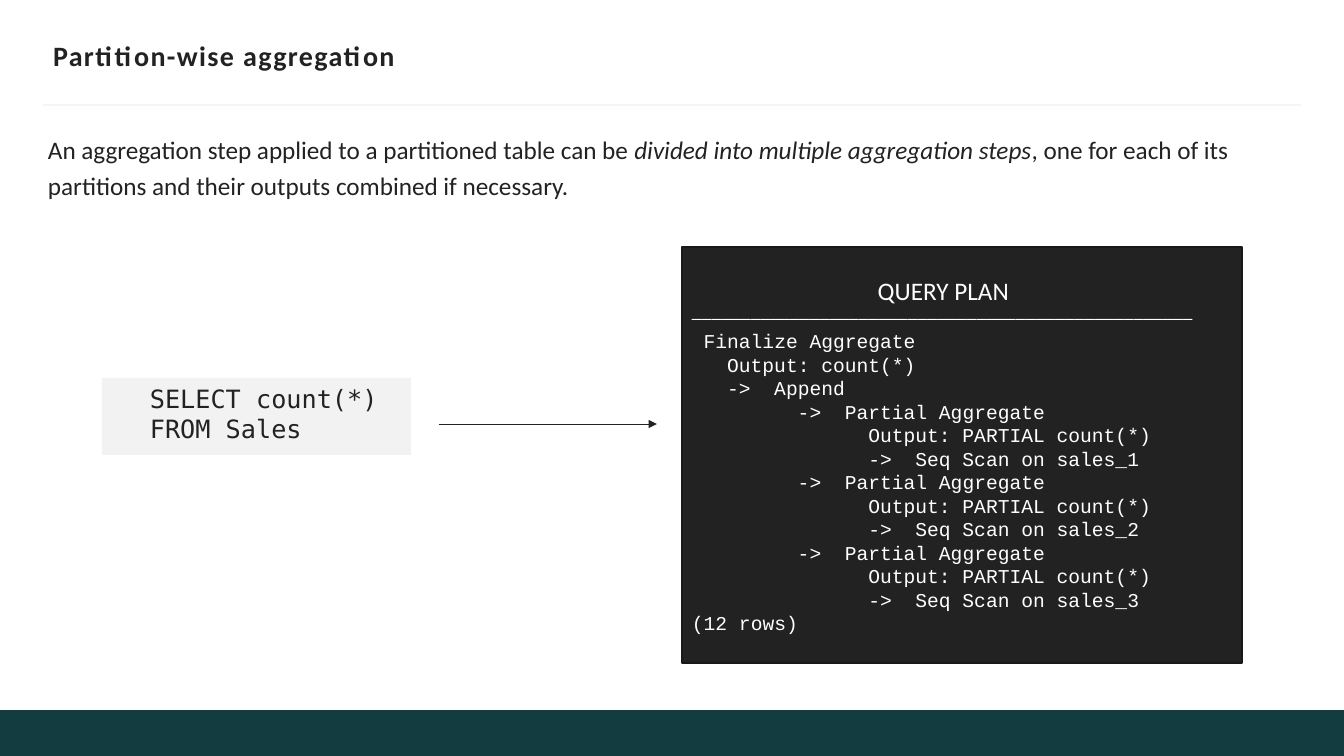
from lxml import etree
from pptx import Presentation, util as u
from pptx.dml.color import RGBColor
from pptx.enum import shapes, text
from pptx.oxml.ns import qn

PX = 914400 / 100.8
INK = "222222"
WHITE = "FFFFFF"
CHARACTER = 11.76  # width in px of one 14 pt Courier New character


def px(*lengths):
    return [u.Emu(round(length * PX)) for length in lengths]


def style(target, color, size=None, name=None):
    """Colour a fill, line or font; fonts also get a size and a typeface."""
    if size:
        target.size, target.name = u.Pt(size), name
        target = target.fill
    elif hasattr(target, "width"):
        target = target.fill
    target.solid()
    target.fore_color.rgb = RGBColor.from_string(color)


presentation = Presentation()
presentation.slide_width, presentation.slide_height = px(1344, 756)
slide = presentation.slides.add_slide(presentation.slide_layouts[6])

# Filled boxes: footer band, query, query plan
boxes = []
for bounds, fill in [
    ((0, 710, 1344, 46), "133C41"),
    ((102, 378, 309, 77), "F2F2F2"),
    ((682, 247, 560, 416), INK),
]:
    box = slide.shapes.add_shape(shapes.MSO_SHAPE.RECTANGLE, *px(*bounds))
    box.shadow.inherit = False
    style(box.fill, fill)
    box.line.fill.background()
    box.text_frame.word_wrap = True
    boxes.append(box)
footer, query, plan = boxes
style(plan.line, "191919")
plan.line.width = u.Pt(1)

# Title rule and arrow from query to plan
for ends, color, width, has_arrow in [
    ((43, 105, 1301, 105), "F5F5F5", 1.5, False),
    ((439, 424, 657, 424), INK, 0.5, True),
]:
    line = slide.shapes.add_connector(shapes.MSO_CONNECTOR.STRAIGHT, *px(*ends))
    style(line.line, color)
    line.line.width = u.Pt(width)
    if has_arrow:
        etree.SubElement(line.line._get_or_add_ln(), qn("a:tailEnd"), type="triangle")
    etree.SubElement(line._element.spPr, qn("a:effectLst"))

# Title
title = slide.shapes.add_textbox(*px(53, 33, 1239, 44))
frame = title.text_frame
frame.margin_left = frame.margin_right = 0
frame.vertical_anchor = text.MSO_ANCHOR.MIDDLE
frame.word_wrap = True
paragraph = frame.paragraphs[0]
run = paragraph.add_run()
run.text = "Partition-wise aggregation"
style(run.font, INK, 20, "Calibri")
run.font.bold = True
run._r.get_or_add_rPr().set("spc", "100")

# Explanation
explanation = slide.shapes.add_textbox(*px(38, 123, 1271, 118))
explanation.text_frame.word_wrap = True
paragraph = explanation.text_frame.paragraphs[0]
paragraph.line_spacing = 1.2
style(paragraph.font, INK, 18, "Calibri")
for words, italic in [
    ("An aggregation step applied to a partitioned table can be ", False),
    ("divided into multiple aggregation steps", True),
    (", one for each of its partitions and their outputs combined if necessary.", False),
]:
    run = paragraph.add_run()
    run.text = words
    style(run.font, INK, 18, "Calibri")
    run.font.italic = italic

# Query
query.text_frame.vertical_anchor = text.MSO_ANCHOR.TOP
paragraph = query.text_frame.paragraphs[0]
paragraph.text = "SELECT count(*)\vFROM Sales"
paragraph.alignment = text.PP_ALIGN.LEFT
paragraph.space_before = u.Pt(3.6)
paragraph._p.get_or_add_pPr().set("marL", str(px(38)[0]))
for run in paragraph.runs:
    style(run.font, INK, 18, "DejaVu Sans Mono")

# Query plan: indent in characters, wording, size, typeface
plan_lines = [
    (15.8, "QUERY PLAN", 18, "Calibri"),
    (0, "─" * 51, 14, "Calibri"),
]
steps = [(1, "Finalize Aggregate"), (3, "Output: count(*)"), (3, "->  Append")]
for partition in (1, 2, 3):
    steps += [
        (9, "->  Partial Aggregate"),
        (15, "Output: PARTIAL count(*)"),
        (15, f"->  Seq Scan on sales_{partition}"),
    ]
steps.append((0, "(12 rows)"))
plan_lines += [(indent, words, 14, "Courier New") for indent, words in steps]

frame = plan.text_frame
frame.vertical_anchor = text.MSO_ANCHOR.MIDDLE
for index, (indent, words, size, name) in enumerate(plan_lines):
    paragraph = frame.add_paragraph() if index else frame.paragraphs[0]
    paragraph.alignment = text.PP_ALIGN.LEFT
    paragraph._p.get_or_add_pPr().set("marL", str(px(indent * CHARACTER)[0]))
    run = paragraph.add_run()
    run.text = words
    style(run.font, WHITE, size, name)

presentation.save("out.pptx")
